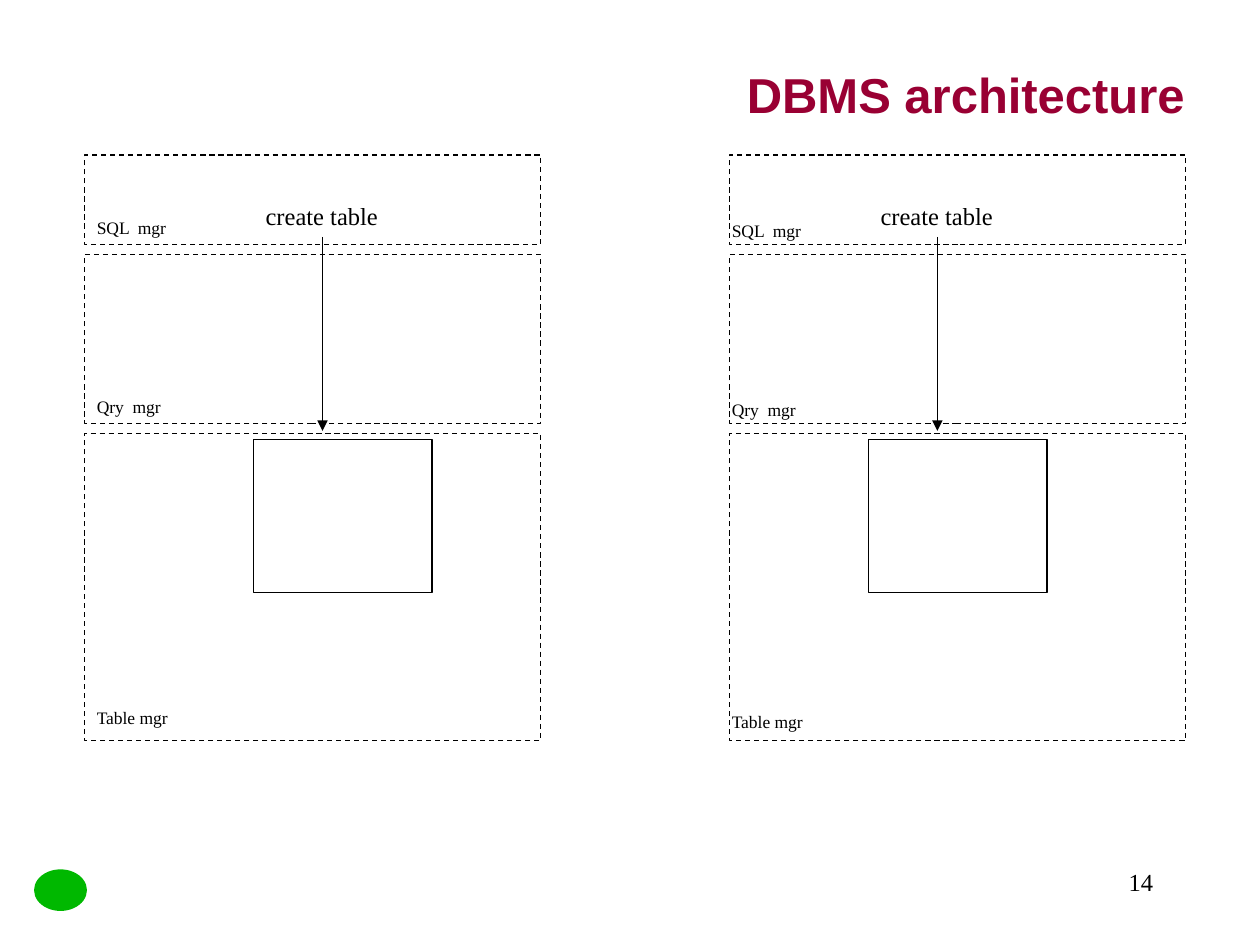
from pptx import Presentation
from pptx.dml.color import RGBColor
from pptx.enum.dml import MSO_LINE_DASH_STYLE as Dash
from pptx.enum.shapes import MSO_CONNECTOR as Connector, MSO_SHAPE as Shape
from pptx.enum.text import MSO_ANCHOR as Anchor, PP_ALIGN as Align
from pptx.oxml.ns import qn
from pptx.util import Inches, Pt
from lxml import etree

BLACK = "000000"
MAROON = "990033"
GREEN = "00B800"
SERIF = "Times New Roman"
PANEL_WIDTH = 3.62
LABEL_WIDTH = 0.8
LAYERS = [
    ("SQL  mgr", 0, 0.71, 0.44),
    ("Qry  mgr", 0.79, 1.34, 1.86),
    ("Table mgr", 2.21, 2.44, 4.33),
]


def color(value):
    """Turn a hex string into a colour."""
    return RGBColor.from_string(value)


def add_text(page, text, left, top, width, height, size, font=SERIF,
             ink=BLACK, bold=False, align=Align.LEFT, anchor=Anchor.TOP):
    """Place one line of text in a box."""
    box = page.shapes.add_textbox(Inches(left), Inches(top), Inches(width), Inches(height))
    frame = box.text_frame
    frame.text = text
    frame.word_wrap = True
    frame.vertical_anchor = anchor
    para = frame.paragraphs[0]
    para.alignment = align
    span = para.runs[0]
    span.font.name = font
    span.font.size = Pt(size)
    span.font.bold = bold
    span.font.color.rgb = color(ink)


def add_outline(page, left, top, width, height, dash=None):
    """Draw an unfilled rectangle with a thin black line."""
    box = page.shapes.add_shape(
        Shape.RECTANGLE, Inches(left), Inches(top), Inches(width), Inches(height))
    box.shadow.inherit = False
    box.fill.background()
    box.line.color.rgb = color(BLACK)
    box.line.width = Pt(0.75)
    if dash:
        box.line.dash_style = dash


def add_arrow(page, x, top, bottom):
    """Draw a vertical arrow pointing down."""
    arrow = page.shapes.add_connector(
        Connector.STRAIGHT, Inches(x), Inches(top), Inches(x), Inches(bottom))
    arrow.line.color.rgb = color(BLACK)
    arrow.line.width = Pt(0.75)
    line = arrow.line._get_or_add_ln()
    etree.SubElement(line, qn("a:tailEnd"), type="triangle")
    etree.SubElement(arrow._element.spPr, qn("a:effectLst"))


def add_layers(page, left, top, label_dx, label_dy):
    """Stack the dashed manager layers with their labels."""
    for name, offset, height, label_top in LAYERS:
        add_outline(page, left, top + offset, PANEL_WIDTH, height, Dash.DASH)
        add_text(page, name, left + label_dx, top + label_top + label_dy,
                 LABEL_WIDTH, 0.27, 10)


def add_create_table(page, left, top):
    """Show the create table command reaching the table it makes."""
    add_text(page, "create table", left, top, 1.12, 0.34, 14)
    add_arrow(page, left + 0.55, top + 0.33, top + 1.87)
    add_outline(page, left, top + 1.94, 1.42, 1.21)


def add_title(page, left, top, width, height):
    """Place the slide title."""
    add_text(page, "DBMS architecture", left, top, width, height, 28, "Arial", MAROON,
             bold=True, align=Align.RIGHT, anchor=Anchor.MIDDLE)


def add_footer(page, left, top, width, height):
    """Place the plain emblem and the page number."""
    emblem = page.shapes.add_shape(
        Shape.OVAL, Inches(left), Inches(top + 0.07), Inches(0.42), Inches(0.33))
    emblem.shadow.inherit = False
    emblem.fill.solid()
    emblem.fill.fore_color.rgb = color(GREEN)
    emblem.line.fill.background()
    add_text(page, "14", left + width - 2.08, top, 2.08, height, 14, align=Align.RIGHT)


def main():
    """Build and save the slide."""
    deck = Presentation()
    deck.slide_width, deck.slide_height = Inches(10), Inches(7.5)
    page = deck.slides.add_slide(deck.slide_layouts[6])
    add_title(page, 1.17, 0.33, 8.33, 0.83)
    add_layers(page, 0.67, 1.23, 0, 0)
    add_layers(page, 5.79, 1.23, -0.08, 0.03)
    for left in (2.01, 6.89):
        add_create_table(page, left, 1.55)
    add_footer(page, 0.27, 6.83, 8.98, 0.5)
    deck.save("out.pptx")


if __name__ == "__main__":
    main()
